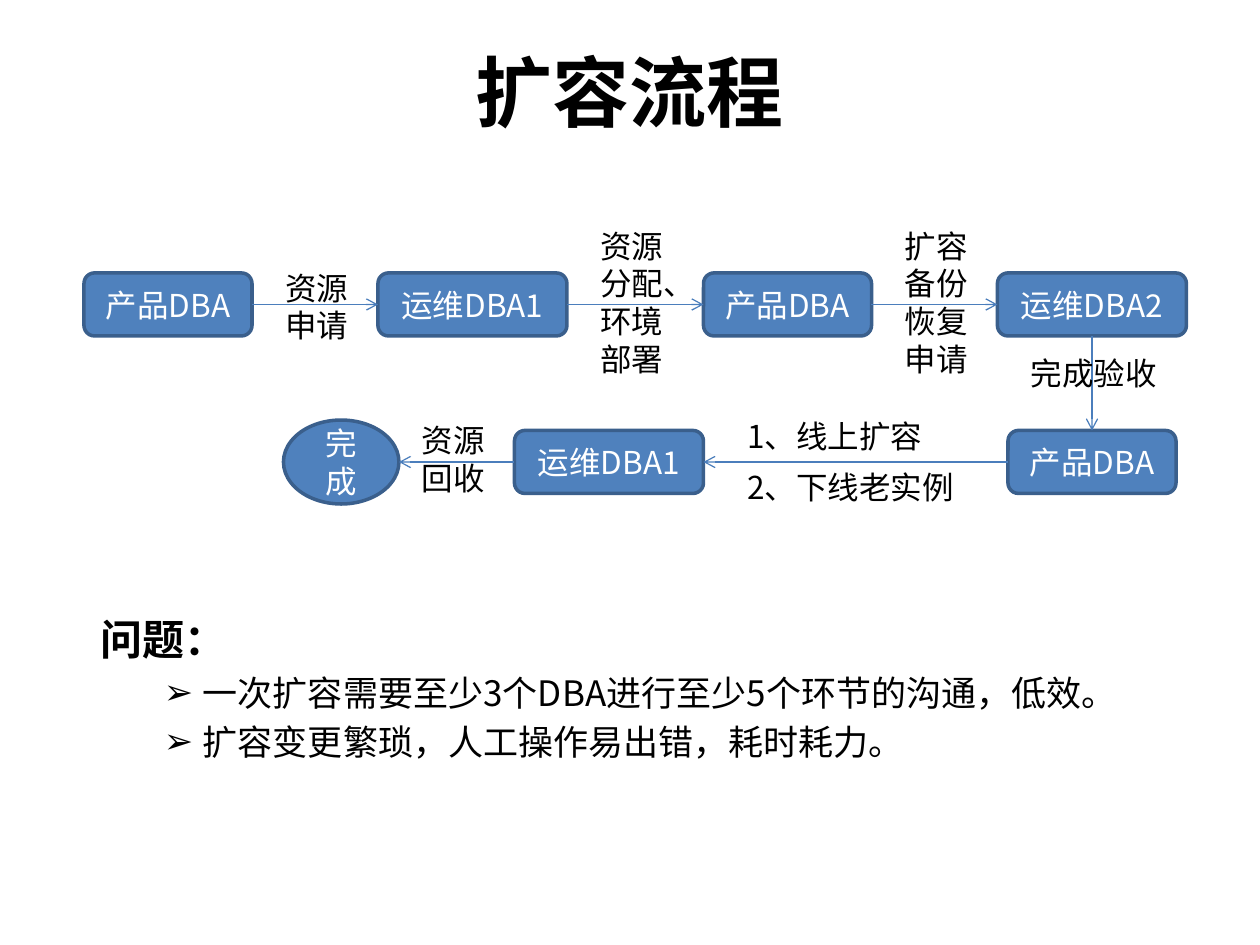
"""Build the capacity expansion workflow slide."""
from lxml import etree
from pptx import Presentation
from pptx.dml.color import RGBColor
from pptx.enum.shapes import MSO_CONNECTOR, MSO_SHAPE
from pptx.enum.text import MSO_ANCHOR, MSO_AUTO_SIZE, PP_ALIGN
from pptx.oxml.ns import qn
from pptx.util import Inches, Pt

STRAIGHT = MSO_CONNECTOR.STRAIGHT
ROUNDED, ELLIPSE = MSO_SHAPE.ROUNDED_RECTANGLE, MSO_SHAPE.OVAL
TOP, MIDDLE = MSO_ANCHOR.TOP, MSO_ANCHOR.MIDDLE
CENTER, LEFT = PP_ALIGN.CENTER, PP_ALIGN.LEFT
FIXED = MSO_AUTO_SIZE.NONE

FONT = "Noto Sans CJK SC"
BLACK = RGBColor(0x00, 0x00, 0x00)
WHITE = RGBColor(0xFF, 0xFF, 0xFF)
BLUE = RGBColor(0x4F, 0x81, 0xBD)
EDGE = RGBColor(0x3A, 0x5F, 0x8C)
ARROW = RGBColor(0x4B, 0x7E, 0xBC)

TITLE = "扩容流程"
HEADING = "问题："
PROBLEMS = [
    "一次扩容需要至少3个DBA进行至少5个环节的沟通，低效。",
    "扩容变更繁琐，人工操作易出错，耗时耗力。",
]

COLUMNS = 120
UPPER, LOWER = 29, 44
# Each step: wording, shape, left column, middle row, columns wide, rows high
STEPS = [
    ("产品DBA", ROUNDED, 8, UPPER, 16, 6),
    ("运维DBA1", ROUNDED, 36, UPPER, 18, 6),
    ("产品DBA", ROUNDED, 67, UPPER, 16, 6),
    ("运维DBA2", ROUNDED, 95, UPPER, 18, 6),
    ("产品DBA", ROUNDED, 96, LOWER, 16, 6),
    ("运维DBA1", ROUNDED, 49, LOWER, 18, 6),
    ("完成", ELLIPSE, 27, LOWER, 11, 8),
]
# Each label: wording, left column, top row, columns wide, lines
LABELS = [
    ("资源申请", 26, 25, 9, 2),
    ("资源分配、环境部署", 56, 21, 9, 4),
    ("扩容备份恢复申请", 85, 21, 9, 4),
    ("完成验收", 97, 33.1, 17, 1),
    ("1、线上扩容", 70, 39.1, 21, 1),
    ("2、下线老实例", 70, 44, 24, 1),
    ("资源回收", 39, 39.5, 9, 2),
]


def style(paragraph, size, color, bold=False, align=LEFT):
    paragraph.alignment = align
    font = paragraph.font
    font.size, font.bold, font.name = Pt(size), bold, FONT
    font.color.rgb = color
    defaults = paragraph._p.pPr.find(qn("a:defRPr"))
    etree.SubElement(defaults, qn("a:ea"), typeface=FONT)


def set_bullet(paragraph, margin, indent, mark=None):
    properties = paragraph._p.get_or_add_pPr()
    properties.set("marL", str(Inches(margin)))
    properties.set("indent", str(Inches(indent)))
    bullet = etree.Element(qn("a:buChar" if mark else "a:buNone"))
    if mark:
        bullet.set("char", mark)
    properties.insert(0, bullet)


def place(shape, left, top, width, height):
    shape.left, shape.top = Inches(left), Inches(top)
    shape.width, shape.height = Inches(width), Inches(height)
    shape.text_frame.auto_size = FIXED
    shape.text_frame.vertical_anchor = TOP


def add_step(slide, cell, step):
    wording, kind, left, middle, wide, high = step
    box = slide.shapes.add_shape(
        kind, cell * left, int(cell * (middle - high / 2)), cell * wide, cell * high)
    box.shadow.inherit = False
    box.fill.solid()
    box.fill.fore_color.rgb = BLUE
    box.line.color.rgb, box.line.width = EDGE, Pt(2)
    frame = box.text_frame
    frame.text, frame.word_wrap, frame.vertical_anchor = wording, True, MIDDLE
    style(frame.paragraphs[0], 18, WHITE, align=CENTER)
    return box


def add_arrow(slide, source, target):
    start_x = source.left + source.width // 2
    start_y = source.top + source.height // 2
    end_x, end_y = start_x, target.top
    if target.left >= source.left + source.width:
        start_x, end_x, end_y = source.left + source.width, target.left, start_y
    elif target.left + target.width <= source.left:
        start_x, end_x, end_y = source.left, target.left + target.width, start_y
    else:
        start_y = source.top + source.height
    arrow = slide.shapes.add_connector(STRAIGHT, start_x, start_y, end_x, end_y)
    arrow.line.color.rgb, arrow.line.width = ARROW, Pt(0.75)
    etree.SubElement(arrow.line._get_or_add_ln(), qn("a:tailEnd"), type="arrow")
    etree.SubElement(arrow._element.spPr, qn("a:effectLst"))


def add_label(slide, cell, label):
    wording, left, top, wide, lines = label
    box = slide.shapes.add_textbox(
        cell * left, int(cell * top), cell * wide, Inches(0.1 + 0.3 * lines))
    frame = box.text_frame
    frame.text, frame.word_wrap = wording, True
    style(frame.paragraphs[0], 18, BLACK)


def main():
    deck = Presentation()
    deck.slide_width, deck.slide_height = Inches(10), Inches(7.5)
    slide = deck.slides.add_slide(deck.slide_layouts[1])
    cell = deck.slide_width // COLUMNS

    title, body = slide.placeholders
    place(title, 0.5, 0.3, 9, 1.25)
    title.text_frame.text = TITLE
    style(title.text_frame.paragraphs[0], 44, BLACK, True, CENTER)

    place(body, 0.2, 4.82, 9.8, 1.76)
    frame = body.text_frame
    frame.text = HEADING
    heading = frame.paragraphs[0]
    heading.level = 1
    style(heading, 24, BLACK, True)
    set_bullet(heading, 0.81, -0.31)
    for problem in PROBLEMS:
        item = frame.add_paragraph()
        item.text, item.level = problem, 2
        style(item, 20, BLACK)
        set_bullet(item, 1.31, -0.31, "➢")

    boxes = [add_step(slide, cell, step) for step in STEPS]
    for source, target in zip(boxes, boxes[1:]):
        add_arrow(slide, source, target)
    for label in LABELS:
        add_label(slide, cell, label)
    deck.save("out.pptx")


if __name__ == "__main__":
    main()
